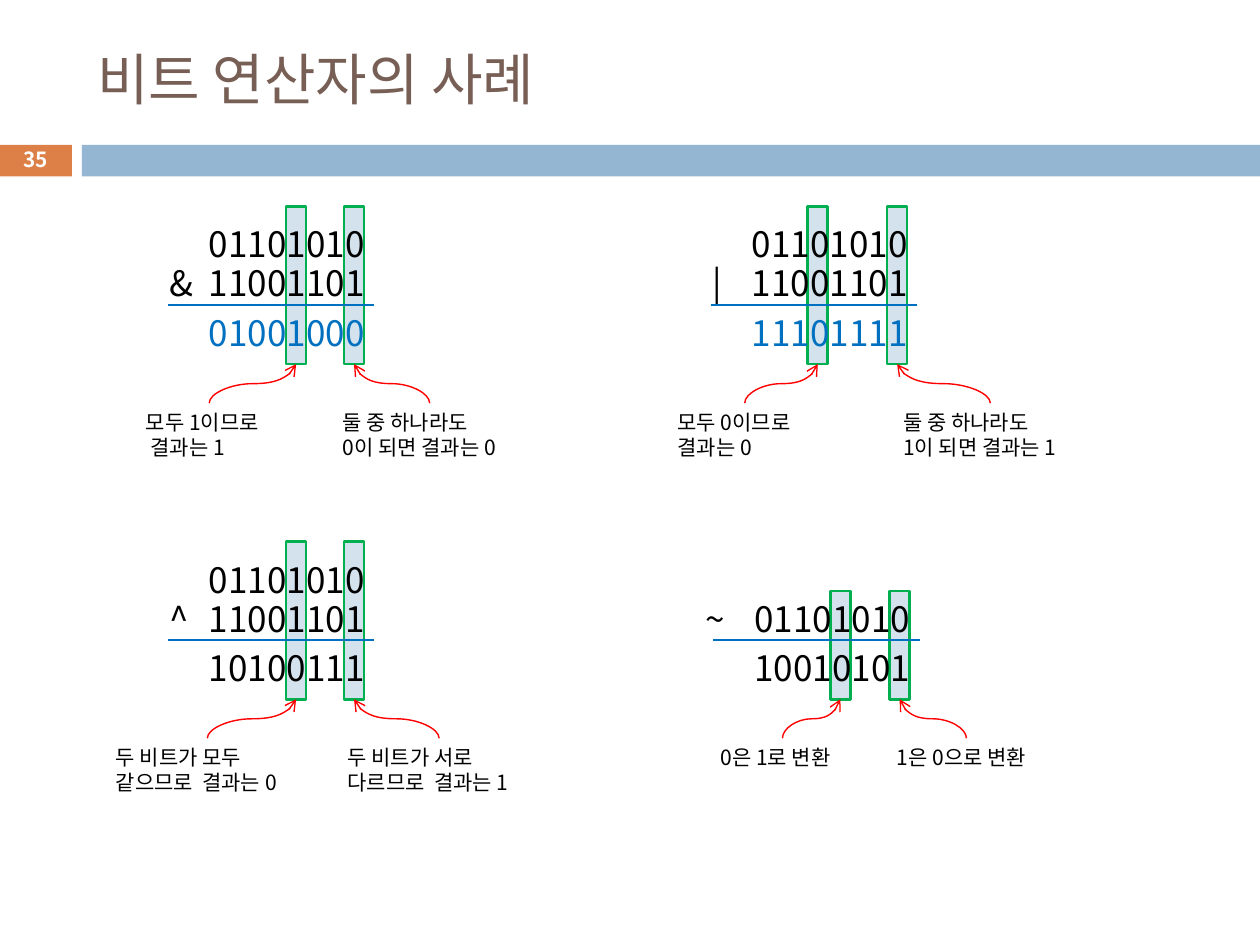
from dataclasses import dataclass

from lxml import etree
from pptx import Presentation
from pptx.dml.color import RGBColor
from pptx.enum.shapes import MSO_CONNECTOR, MSO_SHAPE
from pptx.enum.text import MSO_ANCHOR, MSO_AUTO_SIZE, PP_ALIGN
from pptx.oxml.ns import qn
from pptx.util import Inches, Pt

RECT = MSO_SHAPE.RECTANGLE
STRAIGHT, CURVE = MSO_CONNECTOR.STRAIGHT, MSO_CONNECTOR.CURVE
LEFT, CENTER = PP_ALIGN.LEFT, PP_ALIGN.CENTER
TOP, MIDDLE = MSO_ANCHOR.TOP, MSO_ANCHOR.MIDDLE
NO_FIT, GROW = MSO_AUTO_SIZE.NONE, MSO_AUTO_SIZE.SHAPE_TO_FIT_TEXT

FONT = "Noto Sans CJK KR"
COLORS = {
    "title": "775F55", "badge": "DD8047", "band": "94B6D2",
    "text": "000000", "white": "FFFFFF", "blue": "0070C0",
    "bar": "D4E2ED", "green": "00B050", "arrow": "FF0000",
}
BAR_W = 0.16
ROW_H, ROW_GAP = 0.44, 0.31
OPERAND_RISE = 0.39
BAR_DROP, NOTE_DROP = 0.47, 0.78
THIN = 0.79


@dataclass
class Note:
    text: str
    x: float
    w: float
    bar_x: float
    wrap: bool = False


@dataclass
class Operation:
    x: float
    rule_y: float
    symbol: str
    symbol_x: float
    symbol_w: float
    operands: list[str]
    result: str
    notes: list[Note]
    result_color: str = "text"


OPERATIONS = [
    Operation(1.56, 2.42, "&", 1.25, 0.39, ["01101010", "11001101"], "01001000", [
        Note("모두 1이므로\n 결과는 1", 1.06, 1.2, 2.27),
        Note("둘 중 하나라도\n0이 되면 결과는 0", 2.62, 1.58, 2.73),
    ], "blue"),
    Operation(5.87, 2.42, "|", 5.56, 0.35, ["01101010", "11001101"], "11101111", [
        Note("모두 0이므로\n결과는 0", 5.28, 1.26, 6.41),
        Note("둘 중 하나라도\n1이 되면 결과는 1", 7.07, 1.58, 7.04),
    ], "blue"),
    Operation(1.56, 5.08, "^", 1.25, 0.33, ["01101010", "11001101"], "10100111", [
        Note("두 비트가 모두\n같으므로  결과는 0", 0.82, 1.65, 2.27),
        Note("두 비트가 서로\n다르므로  결과는 1", 2.66, 1.65, 2.73),
    ]),
    Operation(5.89, 5.08, "~", 5.5, 0.39, ["01101010"], "10010101", [
        Note("0은 1로 변환", 5.62, 1.18, 6.59, wrap=True),
        Note("1은 0으로 변환", 7.02, 1.3, 7.06, wrap=True),
    ]),
]


def rgb(name: str) -> RGBColor:
    return RGBColor.from_string(COLORS[name])


def write(tf, text: str, *, size: float, color: str = "text", bold: bool = False,
          align=LEFT, anchor=TOP, wrap: bool = False, fit=GROW) -> None:
    tf.word_wrap, tf.auto_size, tf.vertical_anchor = wrap, fit, anchor
    for i, line in enumerate(text.split("\n")):
        p = tf.add_paragraph() if i else tf.paragraphs[0]
        p.alignment = align
        r = p.add_run()
        r.text = line
        r.font.size, r.font.bold, r.font.name = Pt(size), bold, FONT
        r.font.color.rgb = rgb(color)
        etree.SubElement(r.font._element, qn("a:ea")).set("typeface", FONT)


def add_text(s, text: str, x: float, y: float, w: float, h: float, **fmt) -> None:
    box = s.shapes.add_textbox(Inches(x), Inches(y), Inches(w), Inches(h))
    write(box.text_frame, text, **fmt)


def add_rect(s, x: float, y: float, w: float, h: float, fill: str, line: str = ""):
    sp = s.shapes.add_shape(RECT, Inches(x), Inches(y), Inches(w), Inches(h))
    sp.shadow.inherit = False
    sp.fill.solid()
    sp.fill.fore_color.rgb = rgb(fill)
    if line:
        sp.line.color.rgb = rgb(line)
        sp.line.width = Pt(1.5)
    else:
        sp.line.fill.background()
    return sp


def add_line(s, kind, x1: float, y1: float, x2: float, y2: float, color: str):
    c = s.shapes.add_connector(kind, Inches(x1), Inches(y1), Inches(x2), Inches(y2))
    c.line.color.rgb = rgb(color)
    c.line.width = Pt(THIN)
    etree.SubElement(c._element.spPr, qn("a:effectLst"))
    return c


def add_curved_arrow(s, x1: float, y1: float, x2: float, y2: float) -> None:
    cx, cy = (x1 + x2) / 2, (y1 + y2) / 2
    half_h = abs(x2 - x1) / 2
    rightward = x2 > x1
    half_w = (y1 - y2) / 2 * (1 if rightward else -1)
    c = add_line(s, CURVE, cx + half_w, cy + half_h, cx - half_w, cy - half_h, "arrow")
    degrees = 90 if rightward else 270
    c._element.spPr.find(qn("a:xfrm")).set("rot", str(degrees * 60000))
    ln = c._element.spPr.find(qn("a:ln"))
    etree.SubElement(ln, qn("a:tailEnd")).set("type", "arrow")


def add_bars(s, op: Operation) -> None:
    top = op.rule_y - OPERAND_RISE * len(op.operands)
    for note in op.notes:
        add_rect(s, note.bar_x, top, BAR_W, op.rule_y + BAR_DROP - top, "bar", "green")


def add_operation(s, op: Operation) -> None:
    last_y = op.rule_y - OPERAND_RISE
    for i, bits in enumerate(reversed(op.operands)):
        add_text(s, bits, op.x, last_y - i * ROW_GAP, 1.44, ROW_H, size=20)
    add_text(s, op.symbol, op.symbol_x, last_y, op.symbol_w, ROW_H, size=20)
    add_line(s, STRAIGHT, op.x - 0.23, op.rule_y, op.x + 1.41, op.rule_y, "blue")
    add_text(s, op.result, op.x, op.rule_y, 1.44, ROW_H, size=20, color=op.result_color)
    note_y = op.rule_y + NOTE_DROP
    for note in op.notes:
        add_text(s, note.text, note.x, note_y, note.w, 0.5, size=12, wrap=note.wrap)
        add_curved_arrow(s, note.x + note.w / 2, note_y,
                         note.bar_x + BAR_W / 2, op.rule_y + BAR_DROP)


def main() -> None:
    prs = Presentation()
    prs.slide_width, prs.slide_height = Inches(10), Inches(7.5)
    s = prs.slides.add_slide(prs.slide_layouts[5])

    title = s.shapes.title
    title.left, title.top = Inches(0.67), Inches(0.25)
    title.width, title.height = Inches(8.92), Inches(0.74)
    write(title.text_frame, "비트 연산자의 사례", size=32, color="title",
          anchor=MIDDLE, wrap=True, fit=NO_FIT)

    add_rect(s, -0.01, 1.15, 0.58, 0.25, "badge")
    add_rect(s, 0.65, 1.15, 9.35, 0.25, "band")
    add_text(s, "35", -0.01, 1.13, 0.58, 0.27, size=11.9, color="white", bold=True,
             align=CENTER, anchor=MIDDLE, wrap=True, fit=NO_FIT)

    for op in OPERATIONS:
        add_bars(s, op)
    for op in OPERATIONS:
        add_operation(s, op)
    prs.save("out.pptx")


if __name__ == "__main__":
    main()
